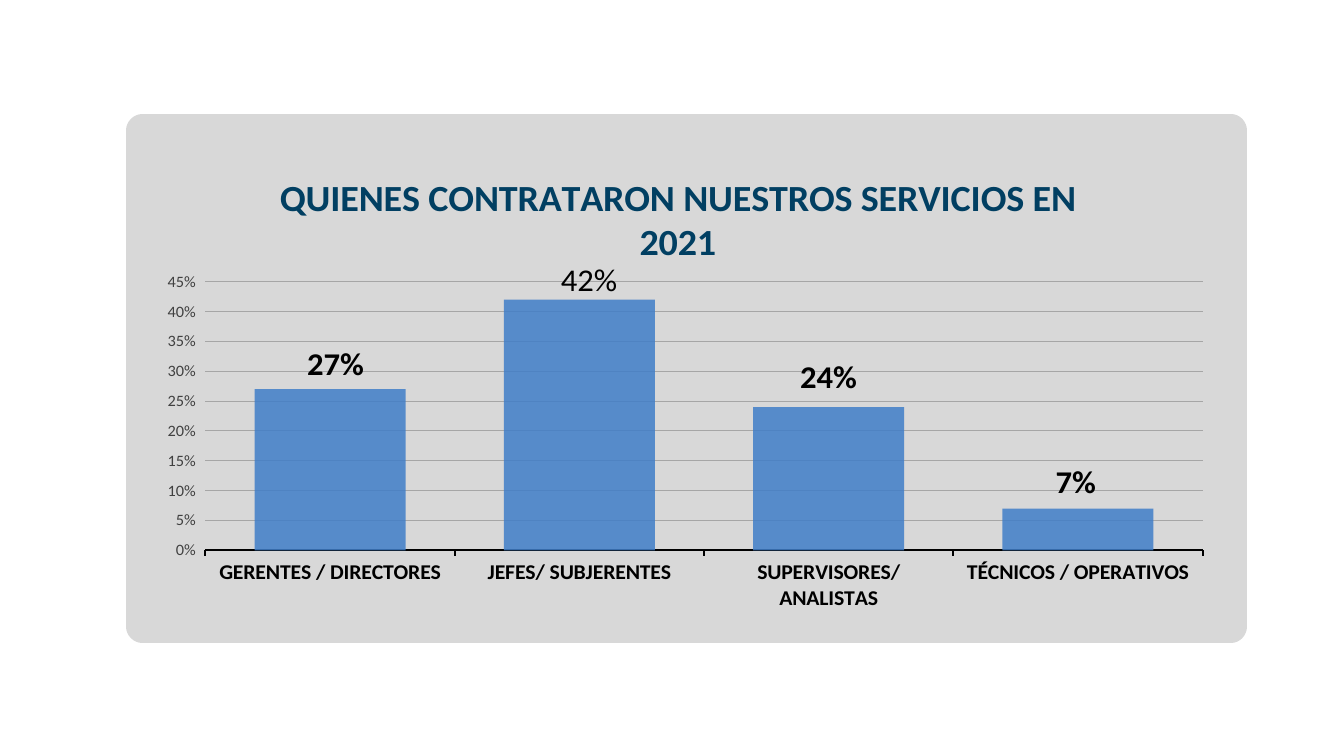
from lxml import etree
from pptx import Presentation
from pptx.chart.data import CategoryChartData
from pptx.dml.color import RGBColor
from pptx.enum.chart import XL_CHART_TYPE as CT, XL_LABEL_POSITION as LP, XL_TICK_MARK as TM
from pptx.oxml import parse_xml
from pptx.oxml.ns import nsdecls, qn
from pptx.util import Inches, Pt


def style(font, size, color, bold=False):
    values = {"name": "Calibri", "size": Pt(size), "bold": bold}
    for key, value in values.items():
        setattr(font, key, value)
    font.color.rgb = RGBColor.from_string(color)


def place(parent, after, modes, **percents):
    for old in parent.findall(qn("c:layout")):
        parent.remove(old)
    layout = parse_xml(f'<c:layout {nsdecls("c")}><c:manualLayout/></c:layout>')
    values = modes | {key: value / 100 for key, value in percents.items()}
    for key, value in values.items():
        etree.SubElement(layout[0], qn(f"c:{key}")).set("val", str(value))
    if after is None:
        parent.insert(0, layout)
    else:
        after.addnext(layout)


prs = Presentation()
prs.slide_width, prs.slide_height = Inches(13.33), Inches(7.5)
s = prs.slides.add_slide(prs.slide_layouts[6])

data = CategoryChartData(number_format="0%")
data.categories = ["GERENTES / DIRECTORES", "JEFES/ SUBJERENTES",
                   "SUPERVISORES/ ANALISTAS", "TÉCNICOS / OPERATIVOS"]
data.add_series("Series 1", (0.27, 0.42, 0.24, 0.07))
chart = s.shapes.add_chart(CT.COLUMN_CLUSTERED, Inches(1.25), Inches(1.14),
                           Inches(11.12), Inches(5.23), data).chart
chart.has_legend = False
style(chart.font, 12, "000000")

space = chart._chartSpace
space.find(qn("c:chart")).addnext(parse_xml(
    f'<c:spPr {nsdecls("c", "a")}>'
    '<a:solidFill><a:srgbClr val="D8D8D8"/></a:solidFill>'
    f'<a:ln w="{Pt(24)}"><a:solidFill><a:srgbClr val="D8D8D8"/></a:solidFill><a:round/></a:ln>'
    '</c:spPr>'))

chart.has_title = True
title = chart.chart_title
title.include_in_layout = False
p = title.text_frame.paragraphs[0]
r = p.add_run()
r.text = "QUIENES CONTRATARON NUESTROS SERVICIOS EN 2021"
style(r.font, 28, "013F62", True)
edge = {"xMode": "edge", "yMode": "edge"}
title_xml = space.find(f'.//{qn("c:title")}')
place(title_xml, title_xml.find(qn("c:tx")), edge, x=12, y=7)
place(space.find(f'.//{qn("c:plotArea")}'), None, {"layoutTarget": "inner"} | edge,
      x=5.8, y=30.5, w=91.6, h=54.2)

cat, val = chart.category_axis, chart.value_axis
style(cat.tick_labels.font, 16, "000000", True)
style(val.tick_labels.font, 12, "404040")
val.minimum_scale, val.maximum_scale, val.major_unit = 0, 0.45, 0.05
val.tick_labels.number_format = "0%"
val.tick_labels.number_format_is_linked = False
val.has_major_gridlines = True
cat.major_tick_mark = val.major_tick_mark = TM.OUTSIDE
val.format.line.fill.background()
for line, color, width in ((cat.format.line, "000000", 1.5),
                           (val.major_gridlines.format.line, "A6A6A6", 0.75)):
    line.color.rgb = RGBColor.from_string(color)
    line.width = Pt(width)

plot = chart.plots[0]
plot.gap_width = 65
plot.vary_by_categories = False
bars = plot.series[0]
bars.format.fill.solid()
bars.format.fill.fore_color.rgb = RGBColor.from_string("407EC8")
bar_color = bars.format.fill._xPr.find(f'.//{qn("a:srgbClr")}')
etree.SubElement(bar_color, qn("a:alpha")).set("val", "85000")

labels = bars.data_labels
labels.show_value = True
labels.number_format, labels.number_format_is_linked = "0%", False
labels.position = LP.OUTSIDE_END
style(labels.font, 24, "000000", True)
for i, (dx, dy) in enumerate(((0.5, -0.2), (0.9, 0.8), (0, -1.2), (-0.2, -0.6))):
    label = bars.points[i].data_label
    if i == 1:
        r = label.text_frame.paragraphs[0].add_run()
        r.text = "42%"
        style(r.font, 24, "000000")
    else:
        style(label.font, 24, "000000", True)
    label.position = LP.OUTSIDE_END
    label_xml = space.findall(f'.//{qn("c:dLbl")}')[i]
    place(label_xml, label_xml.find(qn("c:idx")), {}, x=dx, y=dy)

space.find(f'.//{qn("c:ser")}/{qn("c:dLbls")}').append(parse_xml(
    f'<c:extLst {nsdecls("c")}><c:ext uri="{{CE6537A1-D6FC-4f65-9D91-7224C49458BB}}" '
    'xmlns:c15="http://schemas.microsoft.com/office/drawing/2012/chart">'
    '<c15:showLeaderLines val="0"/></c:ext></c:extLst>'))

prs.save("out.pptx")
